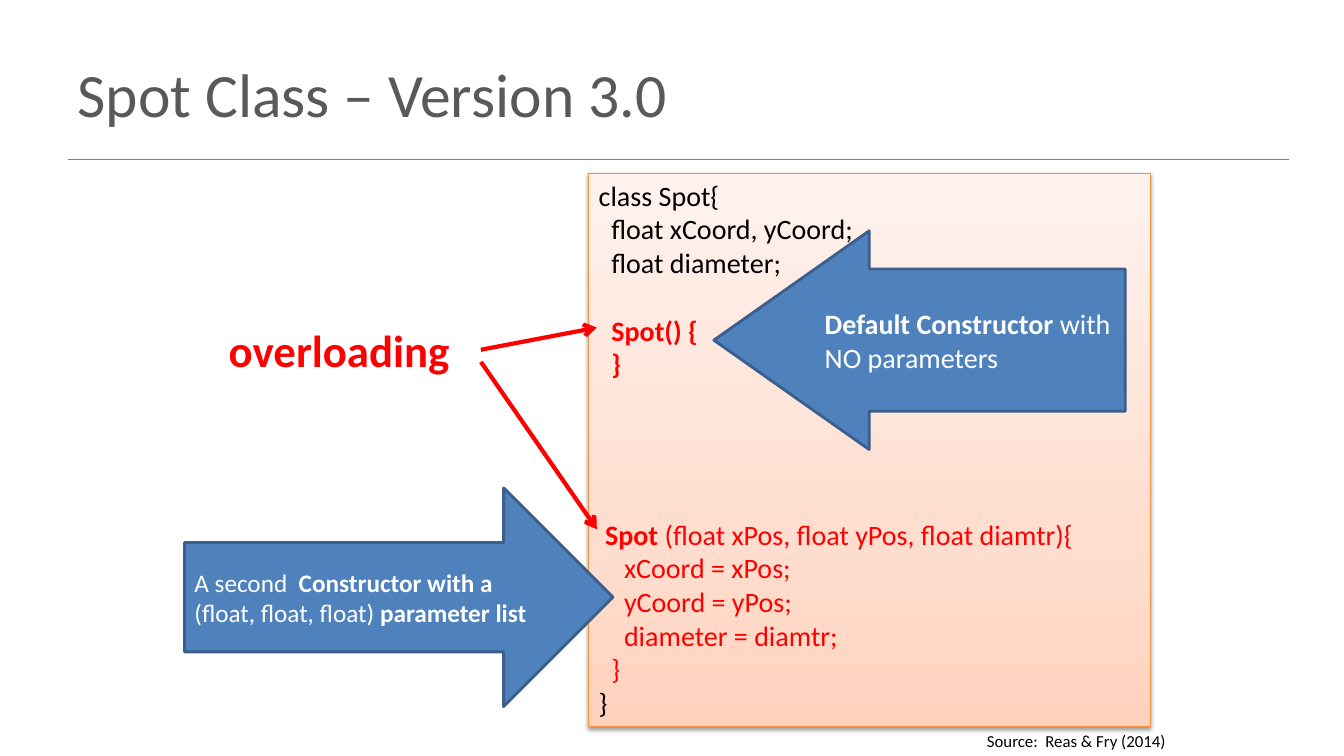
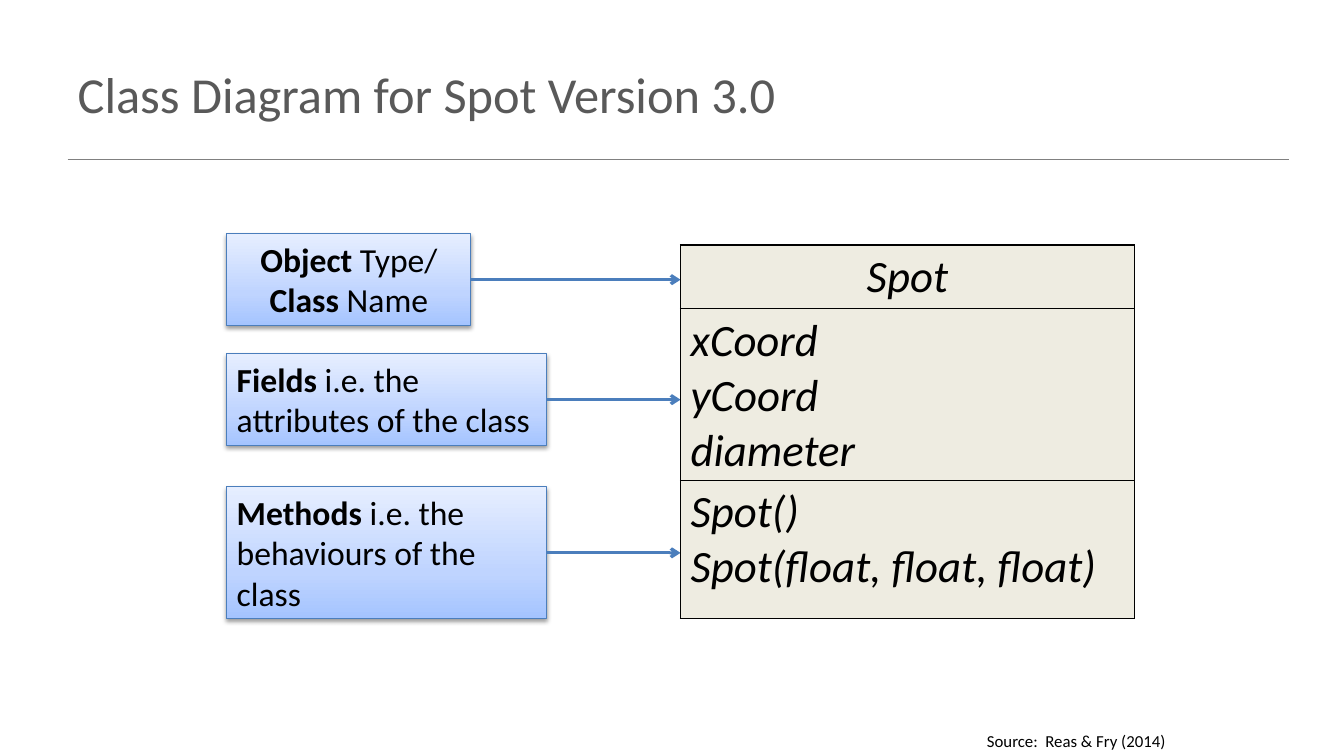
from copy import deepcopy
from dataclasses import dataclass
from typing import NamedTuple

from pptx import Presentation
from pptx.dml.color import RGBColor as RGB
from pptx.enum.shapes import MSO_CONNECTOR as Wire, MSO_SHAPE as Form
from pptx.enum.text import MSO_ANCHOR as Anchor, PP_ALIGN as Align
from pptx.oxml import parse_xml
from pptx.oxml.ns import nsdecls, qn
from pptx.shapes.autoshape import Shape
from pptx.slide import Slide
from pptx.table import _Cell as Cell
from pptx.text.text import TextFrame
from pptx.util import Inches, Pt


@dataclass(frozen=True)
class Theme:
    font: str = "Calibri"
    black: str = "000000"
    white: str = "FFFFFF"
    red: str = "FF0000"
    title: str = "595959"
    rule: str = "808080"
    block: str = "4F81BD"
    edge: str = "3A5F8C"
    blue: str = "4B7EBC"
    orange: str = "F69240"
    cell: str = "EEECE1"
    peach: tuple[str, ...] = ("FFD2BD", "FFDED0", "FFF2ED")
    sky: tuple[str, ...] = ("A4C4FF", "BFD4FF", "E6EEFF")
    stops: tuple[float, ...] = (0, 0.35, 1)
    note: float = 12
    small: float = 18
    code: float = 20
    label: float = 24
    big: float = 32
    sub: float = 36
    head: float = 44
    lead: float = 1.22


T = Theme()


class Box(NamedTuple):
    x: float
    y: float
    w: float
    h: float

    def emu(self) -> list[int]:
        return [Inches(v) for v in self]


class Line(NamedTuple):
    """A paragraph; *stars* mark bold, gap counts blank lines above."""
    text: str
    color: str = T.black
    gap: int = 0


class Label(NamedTuple):
    box: Box
    text: str
    align: Align = Align.LEFT


class Block(NamedTuple):
    form: Form
    box: Box
    adj: tuple[float, float]
    text: str
    size: float


CODE = (
    Line("class Spot{"),
    Line("  float xCoord, yCoord;"),
    Line("  float diameter;"),
    Line("  *Spot() {*", T.red, 1),
    Line("  *}*", T.red),
    Line(" *Spot* (float xPos, float yPos, float diamtr){", T.red, 4),
    Line("    xCoord = xPos;", T.red),
    Line("    yCoord = yPos;", T.red),
    Line("    diameter = diamtr;", T.red),
    Line("  }", T.red),
    Line("}"),
)
BLOCKS = (
    Block(Form.LEFT_ARROW, Box(7.08, 2.29, 4.08, 2.17), (0.65, 0.71),
          "*Default Constructor *with NO parameters", T.code),
    Block(Form.RIGHT_ARROW, Box(1.83, 4.84, 4.25, 2.17), (0.5, 0.5),
          "A second  *Constructor with a* (float, float, float) "
          "*parameter list*", T.small),
)
LABELS = (
    Label(Box(2.25, 2.32, 2.42, 0.91), "*Object* Type/ *Class* Name",
          Align.CENTER),
    Label(Box(2.25, 3.51, 3.17, 0.91),
          "*Fields* i.e. the attributes of the class"),
    Label(Box(2.25, 4.83, 3.17, 1.31),
          "*Methods* i.e. the behaviours of the class"),
)
ROWS = (
    (0.57, Align.CENTER, ("Spot",)),
    (1.54, Align.LEFT, ("xCoord", "yCoord", "diameter")),
    (1.37, Align.LEFT, ("Spot()", "Spot(float, float, float)")),
)
GRID = Box(6.75, 2.43, 4.5, 3.48)


def rgb(code: str) -> RGB:
    return RGB.from_string(code)


def write(frame: TextFrame, lines: tuple[Line, ...], size: float,
          align: Align = Align.LEFT, italic: bool = False) -> None:
    frame.word_wrap = True
    for i, line in enumerate(lines):
        para = frame.paragraphs[0] if i == 0 else frame.add_paragraph()
        para.alignment = align
        if line.gap:
            para.space_before = Pt(line.gap * size * T.lead)
        font = para.font
        font.name, font.size, font.italic = T.font, Pt(size), italic
        font.color.rgb = rgb(line.color)
        for k, part in enumerate(line.text.split("*")):
            if part:
                run = para.add_run()
                run.text = part
                run.font.bold = k % 2 == 1


def text(slide: Slide, box: Box, line: Line, size: float,
         align: Align = Align.LEFT) -> None:
    shape = slide.shapes.add_textbox(*box.emu())
    write(shape.text_frame, (line,), size, align)


def wire(slide: Slide, start: tuple[float, float], end: tuple[float, float],
         color: str, width: float, arrow: bool = True) -> None:
    ends = [Inches(v) for v in (*start, *end)]
    link = slide.shapes.add_connector(Wire.STRAIGHT, *ends)
    link.line.color.rgb = rgb(color)
    link.line.width = Pt(width)
    if arrow:
        tail = parse_xml(f'<a:tailEnd {nsdecls("a")} type="arrow"/>')
        link.line._get_or_add_ln().append(tail)
    link._element.spPr.append(parse_xml(f'<a:effectLst {nsdecls("a")}/>'))


def card(slide: Slide, box: Box, tints: tuple[str, ...], edge: str) -> Shape:
    """Draw a rectangle with a three-stop gradient and a soft shadow."""
    shape = slide.shapes.add_shape(Form.RECTANGLE, *box.emu())
    fill = shape.fill
    fill.gradient()
    fill.gradient_angle = 90
    props = shape._element.spPr
    stops = props.find(qn("a:gradFill")).find(qn("a:gsLst"))
    stops.append(deepcopy(stops[0]))
    for stop, spot, tint in zip(fill.gradient_stops, T.stops, tints):
        stop.position = spot
        stop.color.rgb = rgb(tint)
    shape.line.color.rgb = rgb(edge)
    shape.line.width = Pt(0.75)
    shape.shadow.inherit = False
    props.find(qn("a:effectLst")).append(parse_xml(
        f'<a:outerShdw {nsdecls("a")} blurRad="40000" dist="20000" '
        'dir="5400000" rotWithShape="0"><a:srgbClr val="000000">'
        '<a:alpha val="38000"/></a:srgbClr></a:outerShdw>'))
    shape.text_frame.vertical_anchor = Anchor.TOP
    return shape


def block(slide: Slide, item: Block) -> None:
    shape = slide.shapes.add_shape(item.form, *item.box.emu())
    for i, val in enumerate(item.adj):
        shape.adjustments[i] = val
    shape.shadow.inherit = False
    shape.fill.solid()
    shape.fill.fore_color.rgb = rgb(T.block)
    shape.line.color.rgb = rgb(T.edge)
    shape.line.width = Pt(2)
    shape.text_frame.vertical_anchor = Anchor.MIDDLE
    write(shape.text_frame, (Line(item.text, T.white),), item.size)


def border(cell: Cell) -> None:
    """Outline a cell; its fill has to be set afterwards."""
    props = cell._tc.get_or_add_tcPr()
    for side in ("lnL", "lnR", "lnT", "lnB"):
        props.append(parse_xml(
            f'<a:{side} {nsdecls("a")} w="12700"><a:solidFill>'
            f'<a:srgbClr val="{T.black}"/></a:solidFill></a:{side}>'))


def table(slide: Slide) -> None:
    grid = slide.shapes.add_table(len(ROWS), 1, *GRID.emu()).table
    grid.first_row = grid.horz_banding = False
    for i, (high, align, names) in enumerate(ROWS):
        grid.rows[i].height = Inches(high)
        cell = grid.cell(i, 0)
        border(cell)
        cell.fill.solid()
        cell.fill.fore_color.rgb = rgb(T.cell)
        lines = tuple(Line(name) for name in names)
        write(cell.text_frame, lines, T.big, align, italic=True)


def page(deck: Presentation, name: str, size: float) -> Slide:
    """Add a slide with its title, rule and source line."""
    slide = deck.slides.add_slide(deck.slide_layouts[5])
    wire(slide, (0.67, 1.58), (12.78, 1.58), T.rule, 1, arrow=False)
    title = slide.shapes.title
    title.left, title.top, title.width, title.height = Box(
        0.67, 0.3, 12, 1.25).emu()
    title.text_frame.vertical_anchor = Anchor.MIDDLE
    write(title.text_frame, (Line(name, T.title),), size)
    text(slide, Box(5.58, 7.2, 6.08, 0.3), Line("Source:  Reas & Fry (2014)"),
         T.note, Align.RIGHT)
    return slide


def code(deck: Presentation) -> None:
    slide = page(deck, "Spot Class – Version 3.0", T.head)
    shape = card(slide, Box(5.84, 1.72, 5.57, 5.49), T.peach, T.orange)
    write(shape.text_frame, CODE, T.code)
    for item in BLOCKS:
        block(slide, item)
    text(slide, Box(2.17, 3.15, 2.51, 0.64), Line("*overloading*", T.red),
         T.big)
    for start, end in ((3.47, 3.25), (3.59, 5.25)):
        wire(slide, (4.77, start), (5.92, end), T.red, 3)


def diagram(deck: Presentation) -> None:
    slide = page(deck, "Class Diagram for Spot Version 3.0", T.sub)
    for box, words, align in LABELS:
        shape = card(slide, box, T.sky, T.blue)
        write(shape.text_frame, (Line(words),), T.label, align)
        mid = box.y + box.h / 2
        wire(slide, (box.x + box.w, mid), (GRID.x, mid), T.blue, 2.25)
    table(slide)


def main() -> None:
    deck = Presentation()
    deck.slide_width, deck.slide_height = Inches(13.33), Inches(7.5)
    code(deck)
    diagram(deck)
    deck.save("out.pptx")


if __name__ == "__main__":
    main()
